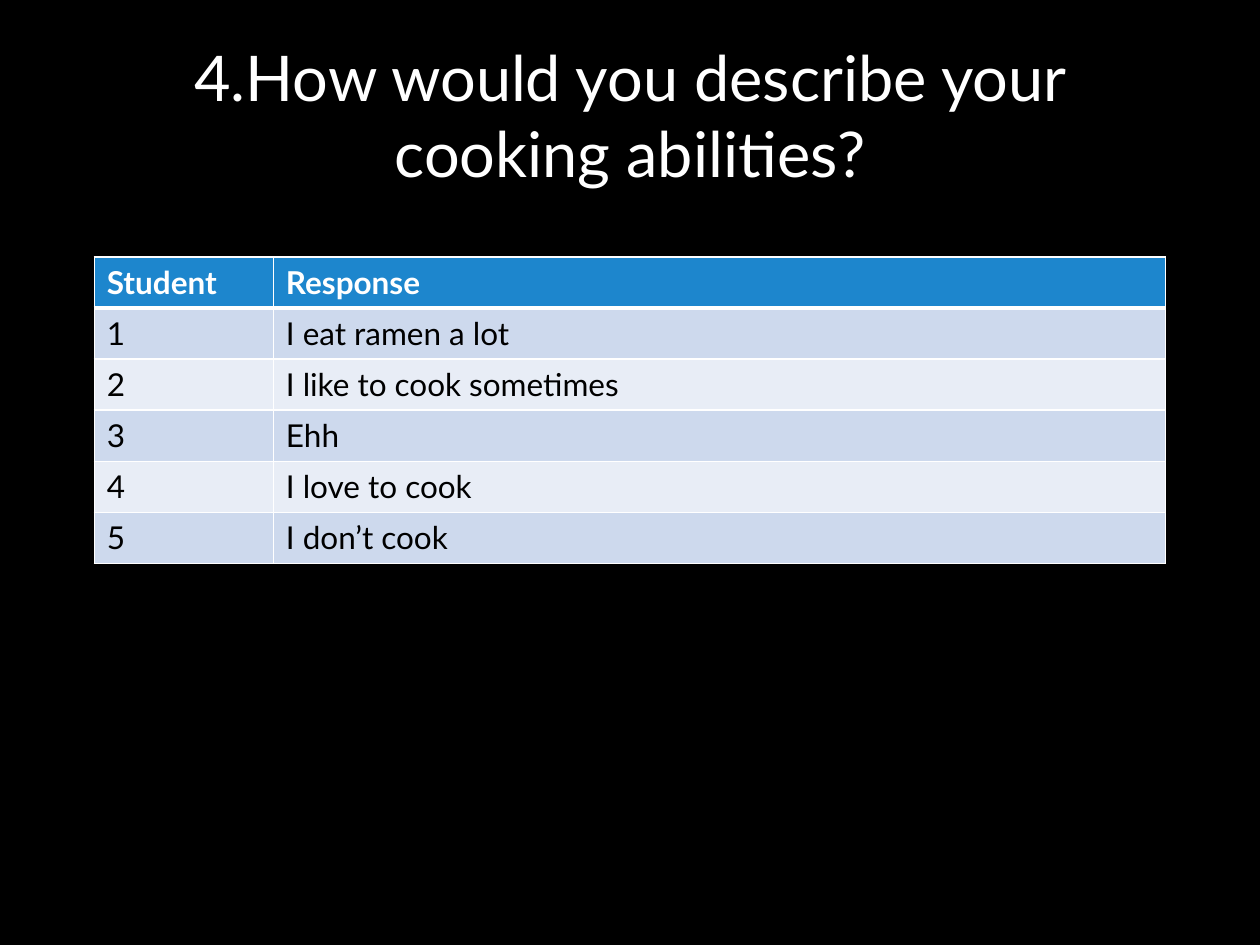
from lxml.etree import SubElement
from pptx import Presentation
from pptx.dml.color import RGBColor
from pptx.enum.text import MSO_ANCHOR, PP_ALIGN
from pptx.oxml.ns import qn
from pptx.util import Cm, Pt

COLORS = {
    "background": "000000",
    "light_text": "FFFFFF",
    "dark_text": "000000",
    "header": "1D86CD",
    "odd_row": "CDD9ED",
    "even_row": "E8EDF6",
    "border": "FFFFFF",
}
FONT = "Lato"
TITLE = "4.How would you describe your cooking abilities?"
ROWS = [
    ("Student", "Response"),
    ("1", "I eat ramen a lot"),
    ("2", "I like to cook sometimes"),
    ("3", "Ehh"),
    ("4", "I love to cook"),
    ("5", "I don’t cook"),
]


def color(name):
    """Return the named colour."""
    return RGBColor.from_string(COLORS[name])


def style_para(para, size, color_name, bold=False):
    """Set the font of a paragraph."""
    para.font.name = FONT
    para.font.size = Pt(size)
    para.font.bold = bold
    para.font.color.rgb = color(color_name)


def set_borders(cell, widths):
    """Draw cell borders; widths are points for left, right, top, bottom."""
    properties = cell._tc.get_or_add_tcPr()
    for index, (side, width) in enumerate(zip("LRTB", widths)):
        line = SubElement(properties, qn(f"a:ln{side}"), w=str(Pt(width)))
        fill = SubElement(line, qn("a:solidFill"))
        SubElement(fill, qn("a:srgbClr"), val=COLORS["border"])
        properties.insert(index, line)


def add_title(page, left, top, width, height):
    """Place the centred question in the given box."""
    box = page.shapes.add_textbox(left, top, width, height)
    frame = box.text_frame
    frame.word_wrap = True
    frame.vertical_anchor = MSO_ANCHOR.MIDDLE
    para = frame.paragraphs[0]
    para.text = TITLE
    para.alignment = PP_ALIGN.CENTER
    style_para(para, 36, "light_text")


def add_responses(page, left, top, width, height):
    """Place the table of student responses in the given box."""
    table = page.shapes.add_table(len(ROWS), 2, left, top, width, height).table
    student_width = Cm(3.61)
    table.columns[0].width = student_width
    table.columns[1].width = width - student_width
    for row_index, row in enumerate(ROWS):
        is_header = row_index == 0
        banding = "odd_row" if row_index % 2 else "even_row"
        for column_index, text in enumerate(row):
            cell = table.cell(row_index, column_index)
            cell.fill.solid()
            cell.fill.fore_color.rgb = color("header" if is_header else banding)
            para = cell.text_frame.paragraphs[0]
            para.text = text
            style_para(para, 18, "light_text" if is_header else "dark_text", is_header)
            top_width = 3 if row_index == 1 else 1
            bottom_width = 3 if is_header else 1
            set_borders(cell, (1, 1, top_width, bottom_width))


def build_slide(deck):
    """Add the question slide to the deck."""
    page = deck.slides.add_slide(deck.slide_layouts[6])
    page.background.fill.solid()
    page.background.fill.fore_color.rgb = color("background")
    margin = Cm(1.9)
    width = deck.slide_width - 2 * margin
    add_title(page, margin, Cm(0.33), width, Cm(3.96))
    add_responses(page, margin, Cm(5.18), width, Cm(6.18))


deck = Presentation()
deck.slide_width = Cm(25.4)
deck.slide_height = Cm(19.05)
build_slide(deck)
deck.save("out.pptx")
